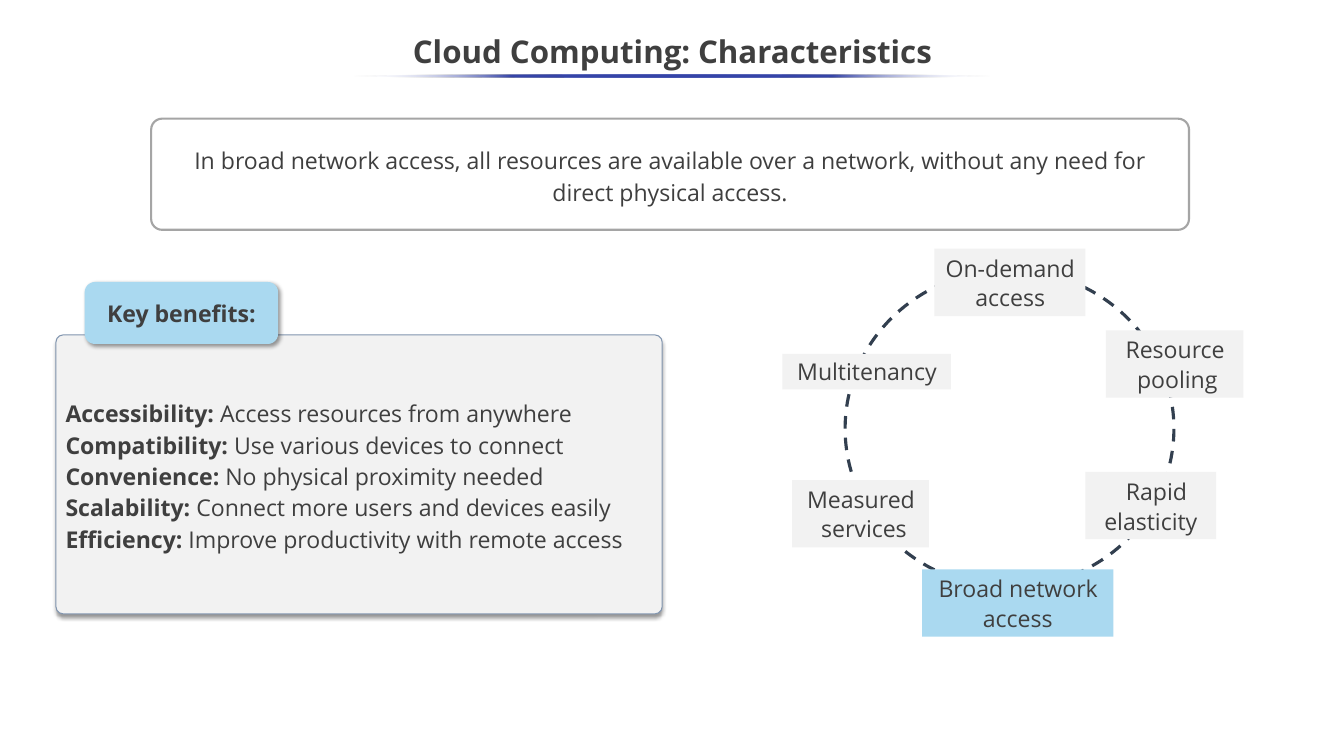
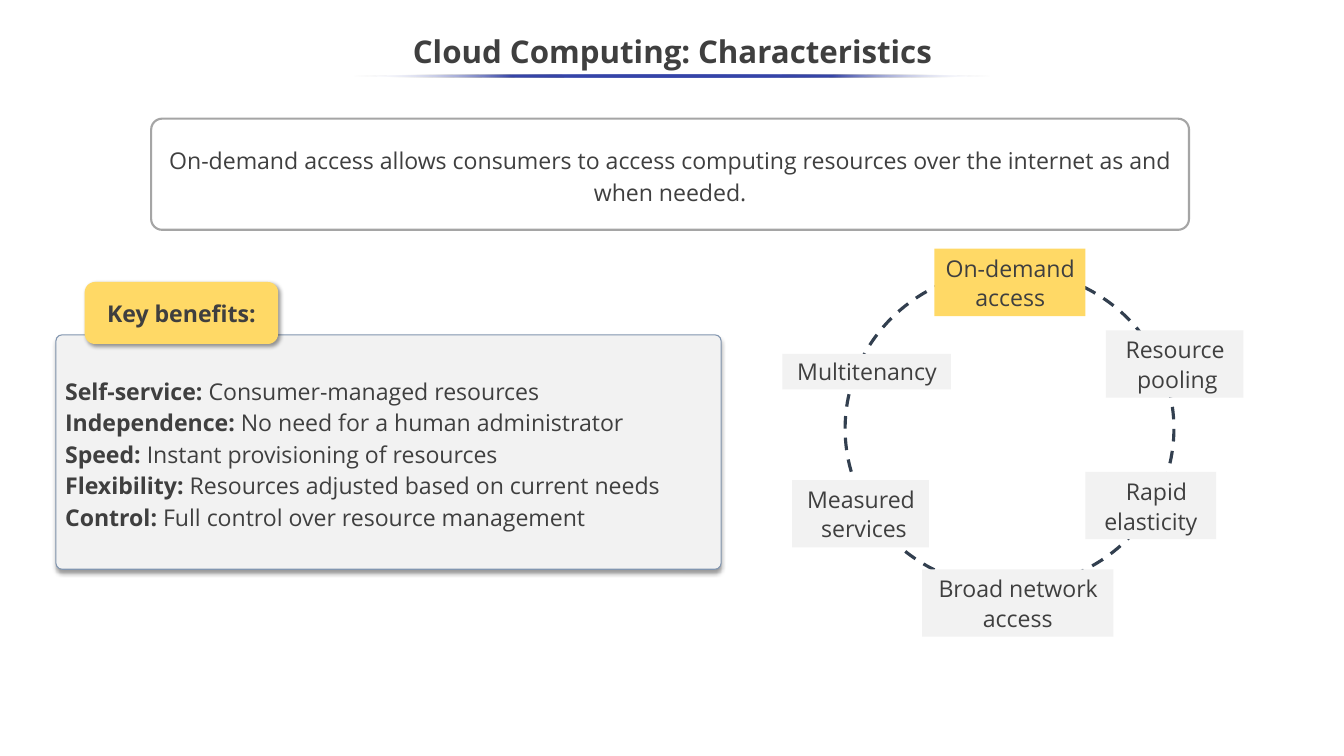
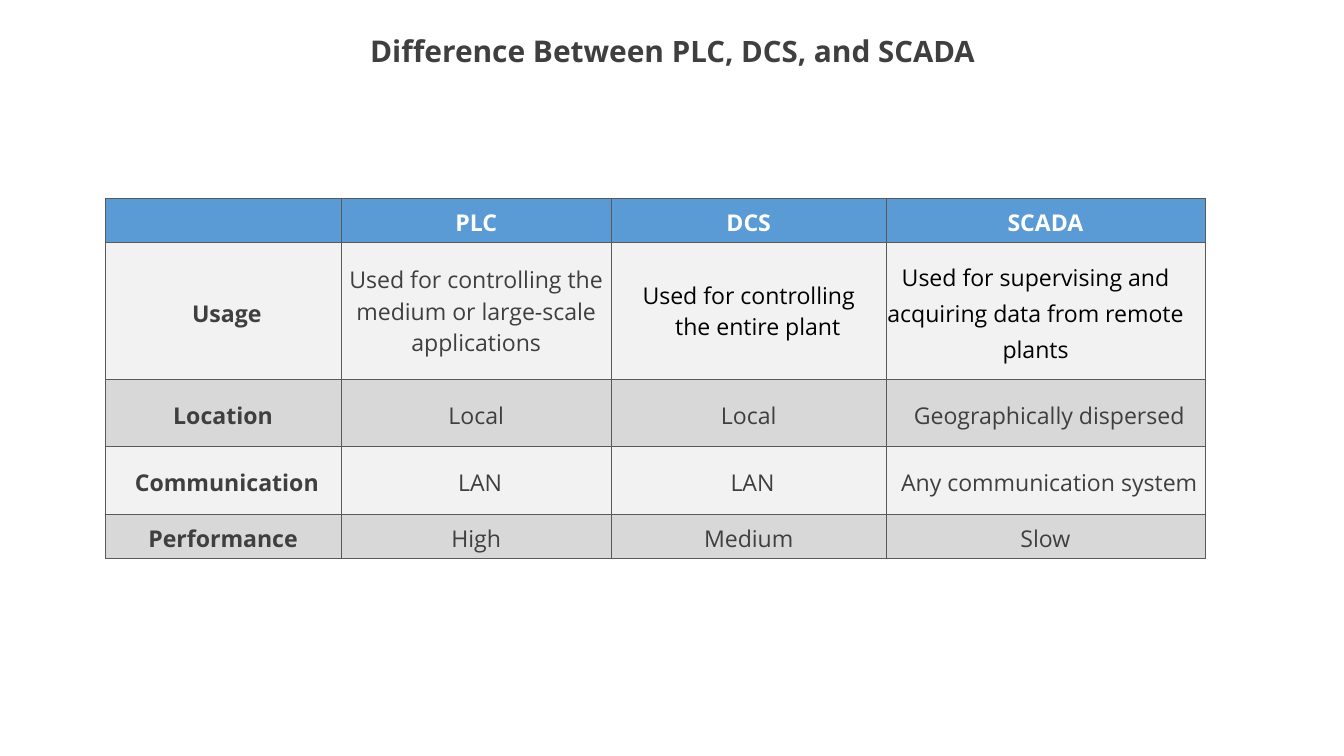
import pptx
import pptx.util
import pptx.dml.color
import pptx.enum.dml
import pptx.enum.shapes
import pptx.enum.text
import pptx.oxml

PX = 9144  # EMU per px, 100 px to the inch
FONT = "Open Sans"
BODY_SIZE = 22
INK = pptx.dml.color.RGBColor(0x3F, 0x3F, 0x3F)
BLACK = pptx.dml.color.RGBColor(0, 0, 0)
WHITE = pptx.dml.color.RGBColor(0xFF, 0xFF, 0xFF)
PALE = pptx.dml.color.RGBColor(0xF2, 0xF2, 0xF2)
SILVER = pptx.dml.color.RGBColor(0xD8, 0xD8, 0xD8)
GREY = pptx.dml.color.RGBColor(0xA5, 0xA5, 0xA5)
SLATE = pptx.dml.color.RGBColor(0x82, 0x96, 0xB0)
NAVY = pptx.dml.color.RGBColor(0x32, 0x3F, 0x4F)
SKY = pptx.dml.color.RGBColor(0xAA, 0xD9, 0xF0)
YELLOW = pptx.dml.color.RGBColor(0xFF, 0xD9, 0x66)
BLUE = pptx.dml.color.RGBColor(0x5B, 0x9B, 0xD5)

SHAPE = pptx.enum.shapes.MSO_SHAPE
ANCHOR = pptx.enum.text.MSO_ANCHOR
AUTO_SIZE = pptx.enum.text.MSO_AUTO_SIZE
CENTER = pptx.enum.text.PP_ALIGN.CENTER
LEFT = pptx.enum.text.PP_ALIGN.LEFT
NAMESPACE = 'xmlns:a="http://schemas.openxmlformats.org/drawingml/2006/main"'
TIGHT, LOOSE = pptx.util.Pt(28), pptx.util.Pt(30)


def add_box(page, kind, place, fill=None, line=None, width=1, corner=None, shadow_angle=None):
    box = page.shapes.add_shape(kind, *[length * PX for length in place])
    box.shadow.inherit = False
    if fill is None:
        box.fill.background()
    else:
        box.fill.solid()
        box.fill.fore_color.rgb = fill
    if line is None:
        box.line.fill.background()
    else:
        box.line.color.rgb = line
        box.line.width = pptx.util.Pt(width)
    if corner is not None:
        box.adjustments[0] = corner
    if shadow_angle is not None:
        effects = box._element.spPr.find(pptx.oxml.ns.qn("a:effectLst"))
        effects.append(pptx.oxml.parse_xml(
            f'<a:outerShdw {NAMESPACE} blurRad="50800" dist="38100" dir="{shadow_angle * 60000}" '
            'algn="t" rotWithShape="0"><a:srgbClr val="000000"><a:alpha val="40000"/>'
            '</a:srgbClr></a:outerShdw>'))
    box.text_frame.word_wrap = True
    box.text_frame.vertical_anchor = ANCHOR.MIDDLE
    return box


def write_para(frame, spans, align=CENTER, spacing=None, margin=0, indent=0, color=INK):
    """Write spans of (text, size, bold) into the first free paragraph."""
    para = frame.paragraphs[0]
    if para.runs:
        para = frame.add_paragraph()
    para.alignment = align
    para.line_spacing = spacing
    para.space_before = pptx.util.Pt(0)
    properties = para._p.get_or_add_pPr()
    properties.set("marL", str(margin * PX))
    properties.set("indent", str(indent * PX))
    for text, size, bold in spans:
        span = para.add_run()
        span.text = text
        span.font.name = FONT
        span.font.size = pptx.util.Pt(size)
        span.font.bold = bold
        span.font.color.rgb = color


deck = pptx.Presentation()
deck.slide_width = 1778 * PX
deck.slide_height = 1000 * PX

# Titles
cloud_title = [("Cloud Computing:", 29.8, True), (" ", 28, True), ("Characteristics", 29.8, True)]
control_title = [("Difference Between ", 28.5, True), ("PLC, DCS, ", 28, True),
                 ("and", 28.5, True), (" SCADA", 28, True)]
pages = []
for title_spans in (cloud_title, cloud_title, control_title):
    page = deck.slides.add_slide(deck.slide_layouts[5])
    title = page.shapes.title
    title.left, title.top, title.width, title.height = -1 * PX, 33 * PX, 1780 * PX, 75 * PX
    title.text_frame.auto_size = AUTO_SIZE.NONE
    title.text_frame.vertical_anchor = ANCHOR.MIDDLE
    write_para(title.text_frame, title_spans, spacing=0.9, indent=1)
    pages.append(page)

# Characteristics: lines, place, anchor, margin, indent, line spacing
labels = [
    (["On-demand", "access"], (1236, 329, 200, 89), ANCHOR.TOP, 28, -27, TIGHT),
    (["Resource pooling"], (1463, 437, 182, 89), ANCHOR.TOP, 7, -6, TIGHT),
    (["Rapid elasticity"], (1436, 624, 173, 89), ANCHOR.MIDDLE, 0, 15, TIGHT),
    (["Broad network access"], (1220, 753, 253, 89), ANCHOR.TOP, 0, 1, TIGHT),
    (["Measured services"], (1048, 635, 181, 89), ANCHOR.TOP, 9, -8, TIGHT),
    (["Multitenancy"], (1035, 468, 223, 47), ANCHOR.TOP, 0, 1, pptx.util.Pt(26.4)),
]

# Cloud pages: accent, highlighted label, panel size, statement, benefits
cloud_pages = [
    (SKY, 3, (802, 369),
     "In broad network access, all resources are available over a network, "
     "without any need for direct physical access.",
     [("Accessibility:", "Access resources from anywhere"),
      ("Compatibility:", "Use various devices to connect"),
      ("Convenience:", "No physical proximity needed"),
      ("Scalability:", "Connect more users and devices easily"),
      ("Efficiency:", "Improve productivity with remote access")]),
    (YELLOW, 0, (880, 310),
     "On-demand access allows consumers to access computing resources over the "
     "internet as and when needed.",
     [("Self-service:", "Consumer-managed resources"),
      ("Independence:", "No need for a human administrator"),
      ("Speed:", "Instant provisioning of resources"),
      ("Flexibility:", "Resources adjusted based on current needs"),
      ("Control:", "Full control over resource management")]),
]

for page, (accent, highlighted, panel_size, statement, benefits) in zip(pages, cloud_pages):
    # Fading rule under the title
    rule = add_box(page, SHAPE.OVAL, (467, 99, 844, 4), fill=WHITE)
    stops = "".join(f'<a:gs pos="{position}000"><a:srgbClr val="3645A9"/></a:gs>'
                    for position in (25, 50, 75))
    clear = '<a:srgbClr val="FFFFFF"><a:alpha val="0"/></a:srgbClr>'
    gradient = pptx.oxml.parse_xml(
        f'<a:gradFill {NAMESPACE} rotWithShape="1"><a:gsLst><a:gs pos="0">{clear}</a:gs>{stops}'
        f'<a:gs pos="100000">{clear}</a:gs></a:gsLst><a:lin ang="10800000" scaled="0"/></a:gradFill>')
    properties = rule._element.spPr
    properties.replace(properties.find(pptx.oxml.ns.qn("a:solidFill")), gradient)

    # Benefits panel
    panel = add_box(page, SHAPE.ROUNDED_RECTANGLE, (74, 443, *panel_size), PALE, SLATE,
                    corner=0.026, shadow_angle=90)
    for name, benefit in benefits:
        write_para(panel.text_frame,
                   [(name + " ", BODY_SIZE, True), (benefit, BODY_SIZE, False)], LEFT, LOOSE)

    # Ring of characteristics
    ring = add_box(page, SHAPE.OVAL, (1118, 357, 435, 420), line=NAVY, width=3)
    ring.line.dash_style = pptx.enum.dml.MSO_LINE.DASH
    for number, (lines, place, anchor, margin, indent, spacing) in enumerate(labels):
        label = add_box(page, SHAPE.RECTANGLE, place, accent if number == highlighted else PALE)
        label.text_frame.vertical_anchor = anchor
        label.text_frame.auto_size = AUTO_SIZE.SHAPE_TO_FIT_TEXT
        for line in lines:
            write_para(label.text_frame, [(line, BODY_SIZE, False)],
                       spacing=spacing, margin=margin, indent=indent)

    # Statement and benefits tag
    statement_box = add_box(page, SHAPE.ROUNDED_RECTANGLE, (200, 157, 1373, 147),
                            line=GREY, width=2, corner=0.098)
    write_para(statement_box.text_frame, [(statement, BODY_SIZE, False)], spacing=LOOSE)
    tag = add_box(page, SHAPE.ROUNDED_RECTANGLE, (112, 373, 256, 82), accent,
                  corner=0.167, shadow_angle=45)
    write_para(tag.text_frame, [("Key benefits:", BODY_SIZE, True)])

# Comparison table
comparison = [
    ["", "PLC", "DCS", "SCADA"],
    ["Usage", "Used for controlling the medium or large-scale applications",
     "Used for controlling\nthe entire plant",
     "Used for supervising and acquiring data from remote plants"],
    ["Location", "Local", "Local", "Geographically dispersed"],
    ["Communication", "LAN", "LAN", "Any communication system"],
    ["Performance", "High", "Medium", "Slow"],
]
column_widths = [312, 358, 363, 422]
row_heights = [59, 181, 89, 89, 59]
indented_cells = {(1, 0), (2, 3), (3, 0), (3, 1), (3, 2), (3, 3)}
black_cells = {(1, 2), (1, 3)}
single_spaced_cells = {(1, 1), (1, 2)}

table = pages[2].shapes.add_table(
    len(row_heights), len(column_widths), 139 * PX, 262 * PX,
    sum(column_widths) * PX, sum(row_heights) * PX).table
table.first_row = table.horz_banding = False
for column, width in zip(table.columns, column_widths):
    column.width = width * PX
for row, height in zip(table.rows, row_heights):
    row.height = height * PX

for row_number, texts in enumerate(comparison):
    for column_number, text in enumerate(texts):
        position = (row_number, column_number)
        cell = table.cell(*position)
        for side in "LRTB":
            cell._tc.get_or_add_tcPr().append(pptx.oxml.parse_xml(
                f'<a:ln{side} {NAMESPACE} w="9525"><a:solidFill><a:srgbClr val="595959"/>'
                f'</a:solidFill></a:ln{side}>'))
        cell.fill.solid()
        cell.fill.fore_color.rgb = BLUE if row_number == 0 else PALE if row_number % 2 else SILVER
        cell.vertical_anchor = ANCHOR.MIDDLE
        cell.margin_left = cell.margin_right = cell.margin_top = cell.margin_bottom = 0
        if not text:
            continue
        color = WHITE if row_number == 0 else BLACK if position in black_cells else INK
        for line_number, line in enumerate(text.split("\n")):
            write_para(cell.text_frame,
                       [(line, BODY_SIZE, row_number == 0 or column_number == 0)],
                       spacing=1.0 if position in single_spaced_cells else 1.14,
                       margin=24 * line_number,
                       indent=10 if position in indented_cells else 0, color=color)
table.cell(1, 3).margin_right = 26 * PX

deck.save("out.pptx")
